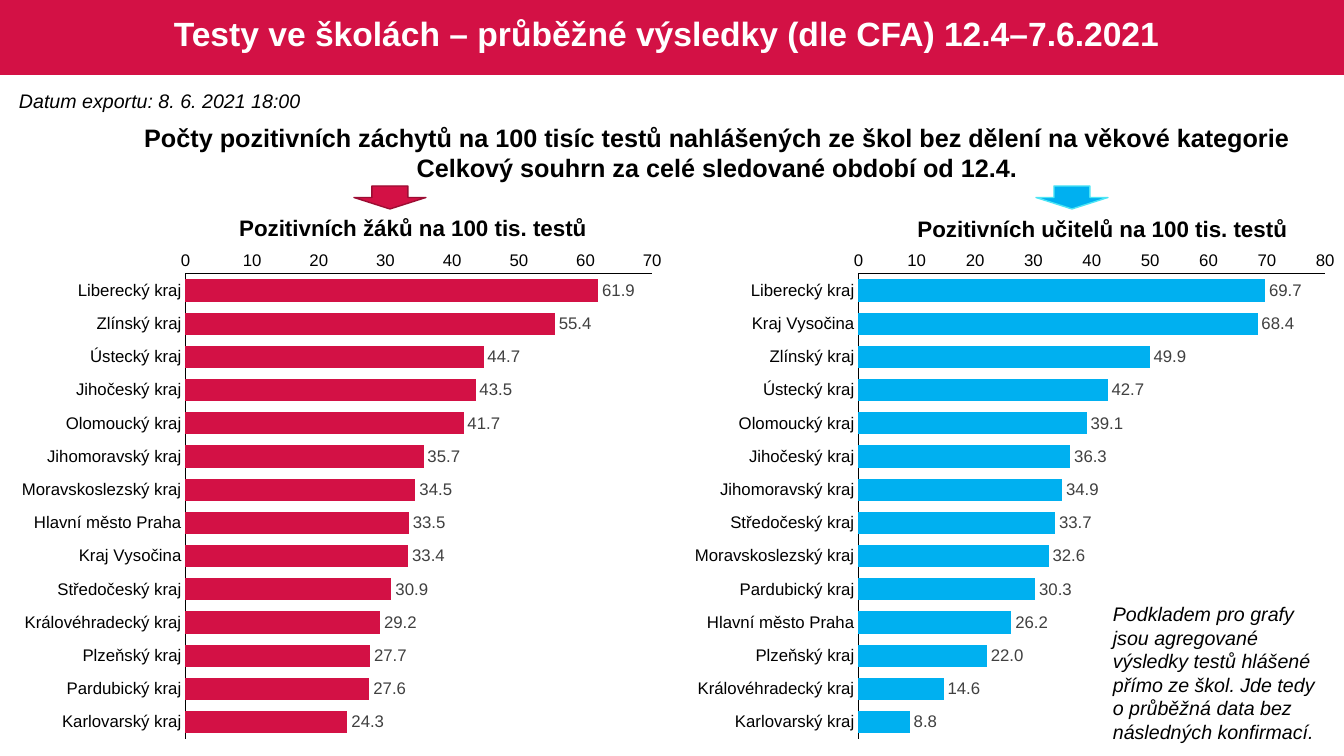
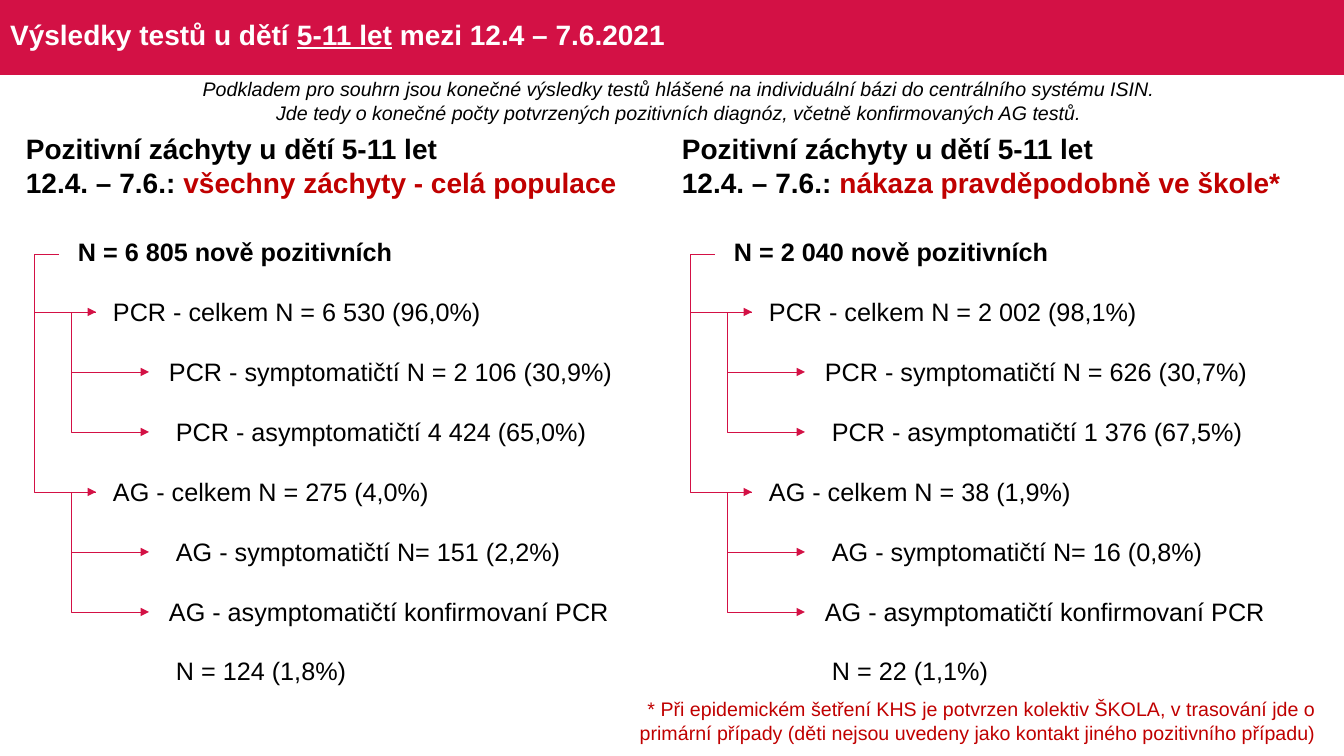
from typing import NamedTuple, Optional

from lxml.etree import SubElement
from pptx import Presentation
from pptx.chart.data import CategoryChartData
from pptx.dml.color import RGBColor
from pptx.enum.chart import XL_CHART_TYPE, XL_LABEL_POSITION, XL_TICK_MARK
from pptx.enum.shapes import MSO_CONNECTOR, MSO_SHAPE
from pptx.enum.text import MSO_ANCHOR, MSO_AUTO_SIZE, PP_ALIGN
from pptx.oxml import parse_xml
from pptx.oxml.ns import nsdecls, qn
from pptx.util import Emu, Pt

FONT = "Arial"
CRIMSON = RGBColor(0xD3, 0x11, 0x45)
CRIMSON_DARK = RGBColor(0x9C, 0x0D, 0x33)
BLUE = RGBColor(0x00, 0xB0, 0xF0)
BLUE_LIGHT = RGBColor(0x4D, 0xE5, 0xF5)
RED = RGBColor(0xC0, 0x00, 0x00)
GREY = RGBColor(0x40, 0x40, 0x40)
BLACK = RGBColor(0, 0, 0)
WHITE = RGBColor(0xFF, 0xFF, 0xFF)


def px(n: int) -> Emu:
    return Emu(round(n * 914400 / 100.8))


class Box(NamedTuple):
    x: int
    y: int
    w: int
    h: int

    def emu(self) -> tuple:
        return tuple(px(n) for n in self)


class Run(NamedTuple):
    text: str
    color: Optional[RGBColor] = None
    underline: bool = False


class RegionChart(NamedTuple):
    title: str
    title_box: Box
    x: int
    arrow_x: int
    color: RGBColor
    edge: RGBColor
    axis_max: int
    values: dict


class TreeRow(NamedTuple):
    label: str
    indent: int
    parent: Optional[int] = None


class Tree(NamedTuple):
    x: int
    scope: str
    values: list


# Text
def write(tf, lines: list, *, size: int, color: RGBColor = BLACK, bold: bool = False,
          italic: bool = False, align=PP_ALIGN.LEFT, spacing: float = 1.0,
          indent: int = 0) -> None:
    """Fill a text frame; each line is a string or a list of Run."""
    tf.word_wrap = True
    for i, line in enumerate(lines):
        p = tf.add_paragraph() if i else tf.paragraphs[0]
        p.alignment = align
        p.line_spacing = spacing
        if indent:
            p._p.get_or_add_pPr().set("marL", str(px(indent)))
        for part in [Run(line)] if isinstance(line, str) else line:
            r = p.add_run()
            r.text = part.text
            r.font.name = FONT
            r.font.size = Pt(size)
            r.font.bold = bold
            r.font.italic = italic
            r.font.underline = part.underline
            r.font.color.rgb = part.color or color


def add_text(s, box: Box, lines: list, **fmt) -> None:
    write(s.shapes.add_textbox(*box.emu()).text_frame, lines, **fmt)


# Shared parts
def add_shape(s, kind, box: Box, fill: RGBColor, edge: Optional[RGBColor] = None):
    sp = s.shapes.add_shape(kind, *box.emu())
    sp.shadow.inherit = False
    sp.fill.solid()
    sp.fill.fore_color.rgb = fill
    if edge is None:
        sp.line.fill.background()
    else:
        sp.line.color.rgb = edge
        sp.line.width = Pt(1)
    return sp


def add_layout_band(s) -> None:
    """Place the title band behind everything on the slide's layout."""
    band = add_shape(s, MSO_SHAPE.RECTANGLE, Box(0, 0, 1344, 75), CRIMSON)
    band.element.nvSpPr.cNvPr.set("id", "20")
    s.slide_layout.shapes.element.insert(2, band.element)


def set_title(s, box: Box, line: list, size: int, align=PP_ALIGN.LEFT) -> None:
    title = s.shapes.title
    title.left, title.top, title.width, title.height = box.emu()
    tf = title.text_frame
    tf.auto_size = MSO_AUTO_SIZE.NONE
    tf.vertical_anchor = MSO_ANCHOR.MIDDLE
    write(tf, [line], size=size, color=WHITE, bold=True, align=align, spacing=0.9)


# Slide 1: bar charts
def format_font(font, size: int, color: RGBColor) -> None:
    font.name = FONT
    font.size = Pt(size)
    font.color.rgb = color


def set_plot_area(chart, x: float, y: float, w: float, h: float) -> None:
    plot_area = chart._chartSpace.chart.plotArea
    for old in plot_area.findall(qn("c:layout")):
        plot_area.remove(old)
    plot_area.insert(0, parse_xml(
        f'<c:layout {nsdecls("c")}><c:manualLayout><c:layoutTarget val="inner"/>'
        f'<c:xMode val="edge"/><c:yMode val="edge"/><c:x val="{x}"/><c:y val="{y}"/>'
        f'<c:w val="{w}"/><c:h val="{h}"/></c:manualLayout></c:layout>'))


def add_region_chart(s, spec_: RegionChart) -> None:
    data = CategoryChartData()
    data.categories = list(spec_.values)
    data.add_series("Series 1", list(spec_.values.values()))
    box = Box(spec_.x, 243, 666, 507)
    chart = s.shapes.add_chart(XL_CHART_TYPE.BAR_CLUSTERED, *box.emu(), data).chart
    chart.has_legend = False
    chart.has_title = False
    format_font(chart.font, 10, BLACK)
    set_plot_area(chart, 0.265, 0.061, 0.701, 0.917)

    for axis in (chart.category_axis, chart.value_axis):
        axis.has_major_gridlines = False
        axis.major_tick_mark = axis.minor_tick_mark = XL_TICK_MARK.NONE
        axis.format.line.color.rgb = BLACK
        axis.format.line.width = Pt(0.75)
        format_font(axis.tick_labels.font, 12, BLACK)
    chart.category_axis.reverse_order = True
    axis = chart.value_axis
    axis.minimum_scale, axis.maximum_scale, axis.major_unit = 0, spec_.axis_max, 10
    axis.tick_labels.number_format = "0"
    axis.tick_labels.number_format_is_linked = False

    plot = chart.plots[0]
    plot.gap_width = 50
    plot.vary_by_categories = False
    fill = plot.series[0].format.fill
    fill.solid()
    fill.fore_color.rgb = spec_.color
    plot.has_data_labels = True
    labels = plot.data_labels
    labels.show_value = True
    labels.number_format = "#,##0.0"
    labels.number_format_is_linked = False
    labels.position = XL_LABEL_POSITION.OUTSIDE_END
    format_font(labels.font, 12, GREY)

    add_text(s, spec_.title_box, [spec_.title], size=16, bold=True, align=PP_ALIGN.CENTER)
    add_shape(s, MSO_SHAPE.DOWN_ARROW, Box(spec_.arrow_x, 186, 72, 23),
              spec_.color, spec_.edge)


REGION_CHARTS = [
    RegionChart("Pozitivních žáků na 100 tis. testů", Box(226, 209, 374, 37), 9, 354,
                CRIMSON, CRIMSON_DARK, 70, {
                    "Liberecký kraj": 61.9, "Zlínský kraj": 55.4, "Ústecký kraj": 44.7,
                    "Jihočeský kraj": 43.5, "Olomoucký kraj": 41.7,
                    "Jihomoravský kraj": 35.7, "Moravskoslezský kraj": 34.5,
                    "Hlavní město Praha": 33.5, "Kraj Vysočina": 33.4,
                    "Středočeský kraj": 30.9, "Královéhradecký kraj": 29.2,
                    "Plzeňský kraj": 27.7, "Pardubický kraj": 27.6,
                    "Karlovarský kraj": 24.3}),
    RegionChart("Pozitivních učitelů na 100 tis. testů", Box(904, 210, 397, 37), 682, 1036,
                BLUE, BLUE_LIGHT, 80, {
                    "Liberecký kraj": 69.7, "Kraj Vysočina": 68.4, "Zlínský kraj": 49.9,
                    "Ústecký kraj": 42.7, "Olomoucký kraj": 39.1,
                    "Jihočeský kraj": 36.3, "Jihomoravský kraj": 34.9,
                    "Středočeský kraj": 33.7, "Moravskoslezský kraj": 32.6,
                    "Pardubický kraj": 30.3, "Hlavní město Praha": 26.2,
                    "Plzeňský kraj": 22, "Královéhradecký kraj": 14.6,
                    "Karlovarský kraj": 8.8}),
]


def build_region_slide(s) -> None:
    set_title(s, Box(13, 4, 1307, 64),
              [Run("Testy ve školách – průběžné výsledky (dle CFA) 12.4–7.6.2021")],
              24, PP_ALIGN.CENTER)
    for spec_ in REGION_CHARTS:
        add_region_chart(s, spec_)
    add_text(s, Box(9, 84, 320, 34), ["Datum exportu: 8. 6. 2021 18:00"],
             size=14, italic=True)
    add_text(s, Box(129, 117, 1176, 71),
             ["Počty pozitivních záchytů na 100 tisíc testů nahlášených ze škol "
              "bez dělení na věkové kategorie",
              "Celkový souhrn za celé sledované období od 12.4."],
             size=18, bold=True, align=PP_ALIGN.CENTER)
    add_text(s, Box(1103, 597, 237, 152),
             ["Podkladem pro grafy jsou agregované výsledky testů hlášené přímo ze škol. "
              "Jde tedy o průběžná data bez následných konfirmací."],
             size=14, italic=True)


# Slide 2: breakdown trees
TREE_TOP, ROW_H = 222, 60
TREE_ROWS = [
    TreeRow("N = {} nově pozitivních", 0),
    TreeRow("PCR - celkem N = {}", 35, 0),
    TreeRow("PCR - symptomatičtí N = {}", 91, 1),
    TreeRow("PCR - asymptomatičtí {}", 98, 1),
    TreeRow("AG - celkem N = {}", 35, 0),
    TreeRow("AG - symptomatičtí N= {}", 98, 4),
    TreeRow("AG - asymptomatičtí konfirmovaní PCR", 91, 4),
    TreeRow("N = {}", 98),
]
TREES = [
    Tree(16, "všechny záchyty - celá populace",
         ["6 805", "6 530 (96,0%)", "2 106 (30,9%)", "4 424 (65,0%)", "275 (4,0%)",
          "151 (2,2%)", "", "124 (1,8%)"]),
    Tree(672, "nákaza pravděpodobně ve škole*",
         ["2 040", "2 002 (98,1%)", "626 (30,7%)", "1 376 (67,5%)", "38 (1,9%)",
          "16 (0,8%)", "", "22 (1,1%)"]),
]


def add_elbow_arrow(s, start: tuple, end: tuple, bend_x: int) -> None:
    cxn = s.shapes.add_connector(MSO_CONNECTOR.ELBOW, *(px(n) for n in start + end))
    cxn.line.color.rgb = CRIMSON
    cxn.line.width = Pt(0.5)
    sp_pr = cxn.element.spPr
    guides = sp_pr.find(qn("a:prstGeom")).get_or_add_avLst()
    ratio = round((bend_x - start[0]) / (end[0] - start[0]) * 100000)
    SubElement(guides, qn("a:gd"), name="adj1", fmla=f"val {ratio}")
    SubElement(sp_pr.find(qn("a:ln")), qn("a:tailEnd"), type="triangle")
    SubElement(sp_pr, qn("a:effectLst"))


def add_tree(s, tree: Tree) -> None:
    add_text(s, Box(tree.x, 127, 623, 78),
             ["Pozitivní záchyty u dětí 5-11 let",
              [Run("12.4. – 7.6.: "), Run(tree.scope, RED)]], size=20, bold=True)

    box = Box(tree.x + 61, TREE_TOP, 606, ROW_H * len(TREE_ROWS))
    table = s.shapes.add_table(len(TREE_ROWS), 1, *box.emu()).table
    table.first_row = table.horz_banding = False
    for i, (row, value) in enumerate(zip(TREE_ROWS, tree.values)):
        cell = table.cell(i, 0)
        cell.fill.background()
        cell.vertical_anchor = MSO_ANCHOR.MIDDLE
        cell.margin_left = cell.margin_right = cell.margin_top = px(1)
        cell.margin_bottom = 0
        write(cell.text_frame, [row.label.format(value)], size=18,
              bold=i == 0, indent=row.indent)

    # Arrows from each parent row to its children
    def middle(i: int) -> int:
        return TREE_TOP + ROW_H * i + (32 if i == 0 else 30)

    for i, row in enumerate(TREE_ROWS):
        if row.parent is None:
            continue
        start_x, end_x = (43, 80) if row.parent == 0 else (80, 133)
        add_elbow_arrow(s, (tree.x + start_x, middle(row.parent)),
                        (tree.x + end_x, middle(i)), tree.x + start_x - 25)


def build_tree_slide(s) -> None:
    set_title(s, Box(0, 4, 1326, 64),
              [Run("Výsledky testů u dětí "), Run("5-11 let", underline=True),
               Run(" mezi 12.4 – 7.6.2021")], 20)
    for tree in TREES:
        add_tree(s, tree)
    add_text(s, Box(625, 692, 701, 57),
             ["* Při epidemickém šetření KHS je potvrzen kolektiv ŠKOLA, v trasování jde o "
              "primární případy (děti nejsou uvedeny jako kontakt jiného pozitivního případu)"],
             size=14, color=RED, align=PP_ALIGN.RIGHT)
    add_text(s, Box(176, 72, 1006, 57),
             ["Podkladem pro souhrn jsou konečné výsledky testů hlášené na individuální bázi "
              "do centrálního systému ISIN.",
              "Jde tedy o konečné počty potvrzených pozitivních diagnóz, "
              "včetně konfirmovaných AG testů."],
             size=14, italic=True, align=PP_ALIGN.CENTER)


def main() -> None:
    prs = Presentation()
    prs.slide_width, prs.slide_height = px(1344), px(756)
    layout = prs.slide_layouts[5]
    slides = [prs.slides.add_slide(layout) for _ in range(2)]
    add_layout_band(slides[0])
    build_region_slide(slides[0])
    build_tree_slide(slides[1])
    prs.save("out.pptx")


if __name__ == "__main__":
    main()
